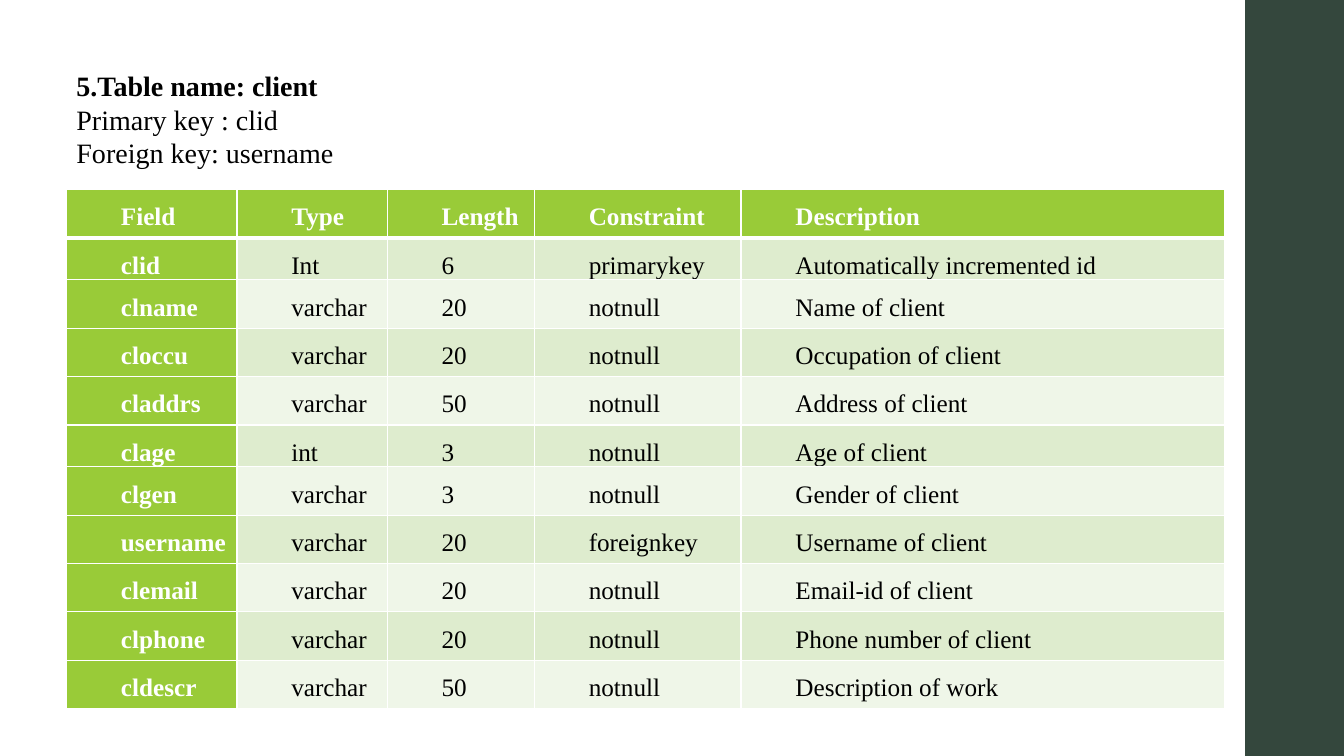
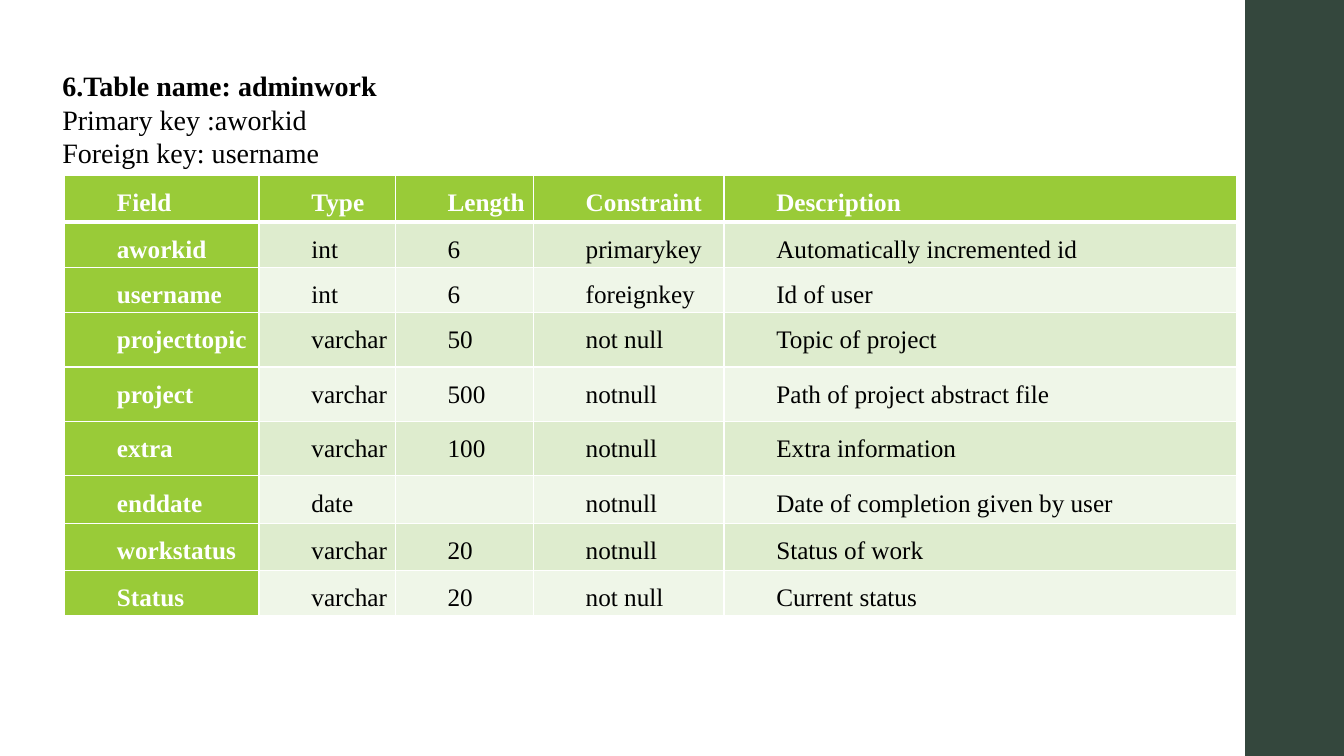
import lxml.etree
import pptx
import pptx.dml.color
import pptx.enum.shapes
import pptx.enum.text
import pptx.oxml.ns
import pptx.util

# Shared style
WHITE = pptx.dml.color.RGBColor(0xFF, 0xFF, 0xFF)
BLACK = pptx.dml.color.RGBColor(0x00, 0x00, 0x00)
DARK_GREEN = pptx.dml.color.RGBColor(0x34, 0x47, 0x3D)
LIME = pptx.dml.color.RGBColor(0x99, 0xCB, 0x38)
ROW_FILLS = (
    pptx.dml.color.RGBColor(0xDE, 0xEC, 0xCE),
    pptx.dml.color.RGBColor(0xEF, 0xF6, 0xE8),
)
FONT_NAME = "Times New Roman"
HEADER = ("Field", "Type", "Length", "Constraint", "Description")

# Slide content; all lengths are percentages of the slide's width or height
CLIENT_ROWS = (
    ("clid", "Int", "6", "primarykey", "Automatically incremented id"),
    ("clname", "varchar", "20", "notnull", "Name of client"),
    ("cloccu", "varchar", "20", "notnull", "Occupation of client"),
    ("claddrs", "varchar", "50", "notnull", "Address of client"),
    ("clage", "int", "3", "notnull", "Age of client"),
    ("clgen", "varchar", "3", "notnull", "Gender of client"),
    ("username", "varchar", "20", "foreignkey", "Username of client"),
    ("clemail", "varchar", "20", "notnull", "Email-id of client"),
    ("clphone", "varchar", "20", "notnull", "Phone number of client"),
    ("cldescr", "varchar", "50", "notnull", "Description of work"),
)
ADMINWORK_ROWS = (
    ("aworkid", "int", "6", "primarykey", "Automatically incremented id"),
    ("username", "int", "6", "foreignkey", "Id of user"),
    ("projecttopic", "varchar", "50", "not null", "Topic of project"),
    ("project", "varchar", "500", "notnull", "Path of project abstract file"),
    ("extra", "varchar", "100", "notnull", "Extra information"),
    ("enddate", "date", "", "notnull", "Date of completion given by user"),
    ("workstatus", "varchar", "20", "notnull", "Status of work"),
    ("Status", "varchar", "20", "not null", "Current status"),
)
CLIENT_HEIGHTS = [6.4, 5.47] + [6.4] * 3 + [5.47] + [6.4] * 5
ADMINWORK_HEIGHTS = [6.13] + [5.47] * 2 + [7.2] * 3 + [6.27] * 2 + [5.47]


class SchemaDeck:
    """Holds the presentation, its style and the current slide."""

    def __init__(self):
        self.presentation = pptx.Presentation()
        self.presentation.slide_width = pptx.util.Inches(13.33)
        self.presentation.slide_height = pptx.util.Inches(7.5)
        self.slide = None

    def across(self, percent):
        return round(self.presentation.slide_width * percent / 100)

    def down(self, percent):
        return round(self.presentation.slide_height * percent / 100)

    def box(self, left, top, width, height):
        return self.across(left), self.down(top), self.across(width), self.down(height)

    def style(self, paragraph, size, color, bold):
        font = paragraph.font
        font.name = FONT_NAME
        font.size = pptx.util.Pt(size)
        font.bold = bold
        font.color.rgb = color

    def add_slide(self):
        """Start a blank slide with the band on its right edge."""
        blank_layout = self.presentation.slide_layouts[6]
        self.slide = self.presentation.slides.add_slide(blank_layout)
        band = self.slide.shapes.add_shape(
            pptx.enum.shapes.MSO_SHAPE.RECTANGLE, *self.box(92.65, 0, 7.35, 100))
        band.shadow.inherit = False
        band.fill.solid()
        band.fill.fore_color.rgb = DARK_GREEN
        band.line.fill.background()

    def add_heading(self, left, lines):
        """Add the bold table name with its keys below."""
        heading = self.slide.shapes.add_textbox(*self.box(left, 8.4, 66, 14.8))
        text_frame = heading.text_frame
        text_frame.word_wrap = True
        text_frame.auto_size = pptx.enum.text.MSO_AUTO_SIZE.SHAPE_TO_FIT_TEXT
        text_frame.text = "\n".join(lines)
        for index, paragraph in enumerate(text_frame.paragraphs):
            self.style(paragraph, 20, BLACK, index == 0)

    def add_border(self, cell, side, points):
        properties = cell._tc.get_or_add_tcPr()
        line = lxml.etree.SubElement(
            properties, pptx.oxml.ns.qn(f"a:ln{side}"), w=str(pptx.util.Pt(points)))
        fill = lxml.etree.SubElement(line, pptx.oxml.ns.qn("a:solidFill"))
        lxml.etree.SubElement(fill, pptx.oxml.ns.qn("a:srgbClr"), val=str(WHITE))

    def fill_cell(self, cell, text, row, column, inset):
        """Write one cell; the header row and first column are emphasised."""
        emphasised = row == 0 or column == 0
        cell.margin_left = cell.margin_right = pptx.util.Inches(inset)
        cell.margin_top = cell.margin_bottom = 0
        for side in "LRTB":
            below_header = (side, row) in (("B", 0), ("T", 1))
            self.add_border(cell, side, 3 if below_header else 1)
        cell.fill.solid()
        cell.fill.fore_color.rgb = LIME if emphasised else ROW_FILLS[(row - 1) % 2]
        cell.text_frame.text = text
        paragraph = cell.text_frame.paragraphs[0]
        paragraph.alignment = pptx.enum.text.PP_ALIGN.JUSTIFY
        paragraph.line_spacing = 1.5
        indent = str(pptx.util.Inches(0.5))
        paragraph._p.get_or_add_pPr().set("marL", indent)
        self.style(paragraph, 18, WHITE if emphasised else BLACK, emphasised)

    def add_schema(self, left, top, widths, heights, rows, inset):
        """Add a table of fields under the shared header."""
        records = (HEADER, *rows)
        table = self.slide.shapes.add_table(
            len(records), len(HEADER),
            *self.box(left, top, sum(widths), sum(heights))).table
        table.horz_banding = False
        for column, width in zip(table.columns, widths):
            column.width = self.across(width)
        for row, height in zip(table.rows, heights):
            row.height = self.down(height)
        for row, record in enumerate(records):
            for column, text in enumerate(record):
                self.fill_cell(table.cell(row, column), text, row, column, inset)


def main():
    deck = SchemaDeck()

    # Client table
    deck.add_slide()
    deck.add_schema(4.95, 25.07, (12.68, 11.18, 10.95, 15.38, 36.01),
                    CLIENT_HEIGHTS, CLIENT_ROWS, 0.04)
    deck.add_heading(4.95, ("5.Table name: client", "Primary key : clid",
                            "Foreign key: username"))

    # Adminwork table
    deck.add_slide()
    deck.add_schema(4.8, 23.2, (14.48, 10.13, 10.28, 14.18, 38.18),
                    ADMINWORK_HEIGHTS, ADMINWORK_ROWS, 0.02)
    deck.add_heading(3.9, ("6.Table name: adminwork", "Primary key :aworkid",
                           "Foreign key: username"))

    deck.presentation.save("out.pptx")


if __name__ == "__main__":
    main()
